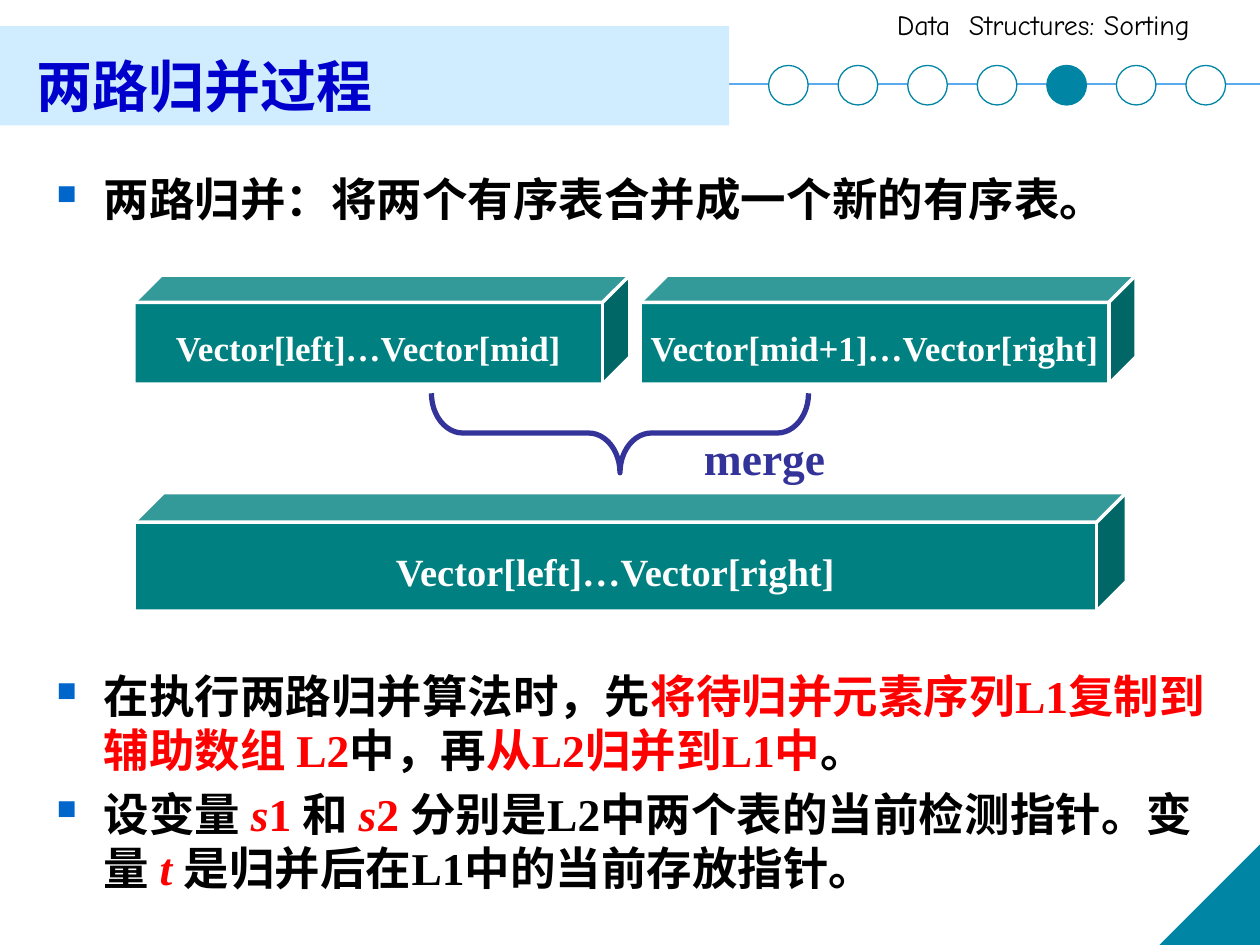
"""Build the slide on the two-way merge step of merge sort."""
import dataclasses

import pptx
import pptx.dml.color
import pptx.enum.shapes
import pptx.enum.text
import pptx.oxml
import pptx.oxml.ns
import pptx.util
from lxml import etree

Pt = pptx.util.Pt
Shape = pptx.enum.shapes.MSO_SHAPE
Anchor = pptx.enum.text.MSO_ANCHOR
Align = pptx.enum.text.PP_ALIGN
qn = pptx.oxml.ns.qn


@dataclasses.dataclass(frozen=True)
class Theme:
    """Colours, fonts and type sizes of the slide."""
    white: str = "FFFFFF"
    black: str = "000000"
    red: str = "FF0000"
    accent: str = "0085A4"
    rule: str = "5AAAED"
    band: str = "CFEDFE"
    cube: str = "008080"
    merge: str = "333399"
    title: str = "0000CC"
    bullet: str = "0066CC"
    serif: str = "Times New Roman"
    casual: str = "Comic Neue"
    header_size: int = 16
    half_size: int = 20
    whole_size: int = 22
    body_size: int = 26
    title_size: int = 32


THEME = Theme()


def rgb(value):
    """Turn a hex string into a colour."""
    return pptx.dml.color.RGBColor.from_string(value)


def apply(target, values):
    """Set each attribute named in a dict of format values."""
    for name, value in values.items():
        setattr(target, name, value)


def add_span(para, text, size, color, **font):
    """Append a run with its font."""
    span = para.add_run()
    span.text = text
    apply(span.font, {"name": THEME.serif, "size": Pt(size), "bold": True, **font})
    span.font.color.rgb = rgb(color)


def add_shape(page, kind, bounds, fill=None, line=None, width=0.75):
    """Add a preset shape with flat fill and outline."""
    shape = page.shapes.add_shape(kind, *map(Pt, bounds))
    shape.shadow.inherit = False
    if fill:
        shape.fill.solid()
        shape.fill.fore_color.rgb = rgb(fill)
    else:
        shape.fill.background()
    if line:
        shape.line.color.rgb = rgb(line)
        shape.line.width = Pt(width)
    else:
        shape.line.fill.background()
    return shape


def add_rule(page, start, end):
    """Add a thin straight line."""
    kind = pptx.enum.shapes.MSO_CONNECTOR.STRAIGHT
    rule = page.shapes.add_connector(kind, *map(Pt, start + end))
    rule.line.color.rgb = rgb(THEME.rule)
    rule.line.width = Pt(1)
    etree.SubElement(rule._element.spPr, qn("a:effectLst"))


def add_cube(page, bounds, text, size):
    """Add a labelled vector block."""
    cube = add_shape(page, Shape.CUBE, bounds, THEME.cube, THEME.white, 2)
    apply(cube.text_frame, {"word_wrap": False, "vertical_anchor": Anchor.MIDDLE})
    para = cube.text_frame.paragraphs[0]
    apply(para, {"alignment": Align.CENTER, "line_spacing": 1.2})
    add_span(para, text, size, THEME.white)


def add_box(page, bounds, anchor=Anchor.TOP):
    """Add a wrapping text box and return its frame."""
    frame = page.shapes.add_textbox(*map(Pt, bounds)).text_frame
    apply(frame, {"word_wrap": True, "vertical_anchor": anchor})
    return frame


def add_label(page, bounds, text, size, color, align=Align.LEFT, anchor=Anchor.TOP, **font):
    """Add a one-line text box."""
    para = add_box(page, bounds, anchor).paragraphs[0]
    para.alignment = align
    add_span(para, text, size, color, **font)


def add_bullet(para):
    """Give a paragraph a small square bullet and hanging indent."""
    props = para._p.get_or_add_pPr()
    props.set("marL", str(Pt(27)))
    props.set("indent", str(-Pt(27)))
    color = etree.SubElement(props, qn("a:buClr"))
    etree.SubElement(color, qn("a:srgbClr"), val=THEME.bullet)
    etree.SubElement(props, qn("a:buSzPct"), val="60000")
    etree.SubElement(props, qn("a:buChar"), char="■")


def add_bullets(page, bounds, items):
    """Add bulleted paragraphs made of (text, colour, italic) spans."""
    frame = add_box(page, bounds)
    for index, spans in enumerate(items):
        para = frame.add_paragraph() if index else frame.paragraphs[0]
        add_bullet(para)
        para.space_before = Pt(5 if index else 0)
        for text, color, italic in spans:
            add_span(para, text, THEME.body_size, color, italic=italic)


def add_progress(page, count, current):
    """Add the row of progress circles."""
    for index in range(count):
        fill = THEME.accent if index == current else THEME.white
        bounds = (439.2 + index * 39.75, 37.4, 22.6, 22.6)
        add_shape(page, Shape.OVAL, bounds, fill, THEME.accent)


def add_frame(page):
    """Add the header, title band and corner decoration."""
    add_rule(page, (0, 48.2), (720, 48.2))
    corner = add_shape(page, Shape.RIGHT_TRIANGLE, (663, 483, 57, 57), THEME.accent, THEME.accent)
    corner._element.spPr.find(qn("a:xfrm")).set("flipH", "1")
    add_label(page, (505.4, 0.8, 211.7, 26.6), "Data  Structures: Sorting",
              THEME.header_size, THEME.black, name=THEME.casual, bold=False)
    add_shape(page, Shape.RECTANGLE, (0, 15, 416.6, 56.6), THEME.band)
    add_label(page, (13.7, 20.2, 431.3, 51), "两路归并过程",
              THEME.title_size, THEME.title, anchor=Anchor.BOTTOM)
    add_progress(page, 7, 4)


def add_diagram(page):
    """Add the two sorted halves merging into one vector."""
    halves = ("Vector[left]…Vector[mid]", "Vector[mid+1]…Vector[right]")
    for index, text in enumerate(halves):
        add_cube(page, (76.6 + index * 289.2, 157.2, 283.4, 62.3), text, THEME.half_size)
    brace = add_shape(page, Shape.LEFT_BRACE, (331.6, 139.7, 45.4, 215.5), None, THEME.merge, 3)
    brace.rotation = 270
    brace.adjustments[0] = 0.396
    add_cube(page, (76.6, 281.5, 567, 67.7), "Vector[left]…Vector[right]", THEME.whole_size)
    add_label(page, (383, 242, 108, 38), "merge", THEME.body_size, THEME.merge, Align.CENTER)


def main():
    """Build and save the deck."""
    deck = pptx.Presentation()
    apply(deck, {"slide_width": Pt(720), "slide_height": Pt(540)})
    page = deck.slides.add_slide(deck.slide_layouts[6])
    add_frame(page)
    add_diagram(page)
    black, red = THEME.black, THEME.red
    add_bullets(page, (25.2, 94.3, 680.4, 73.4), [
        [("两路归并：将两个有序表合并成一个新的有序表。", black, False)],
    ])
    add_bullets(page, (25.2, 378, 680.4, 152.6), [
        [("在执行两路归并算法时，先", black, False),
         ("将待归并元素序列L1复制到辅助数组 L2", red, False),
         ("中，再", black, False), ("从L2归并到L1中", red, False), ("。", black, False)],
        [("设变量 ", black, False), ("s", red, True), ("1 ", red, False),
         ("和 ", black, False), ("s", red, True), ("2 ", red, False),
         ("分别是L2中两个表的当前检测指针。变量 ", black, False), ("t ", red, True),
         ("是归并后在L1中的当前存放指针。", black, False)],
    ])
    deck.save("out.pptx")


if __name__ == "__main__":
    main()
